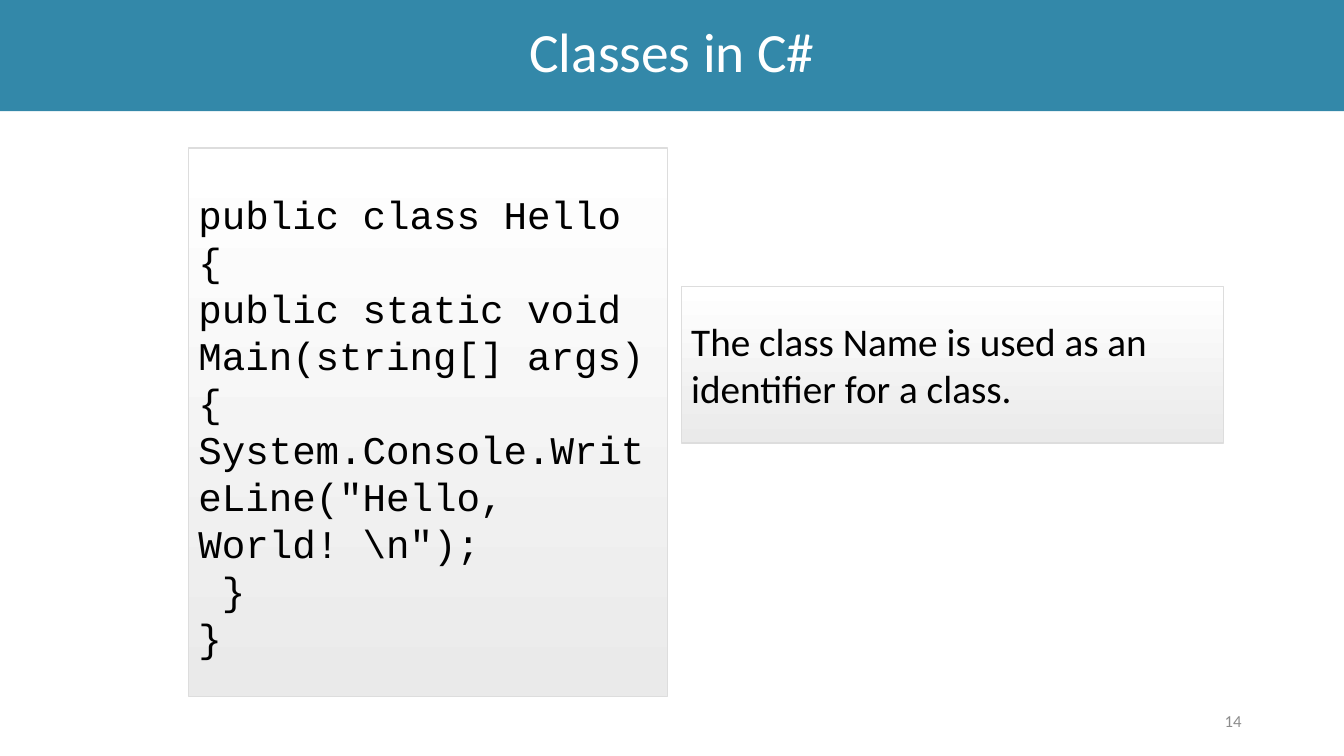
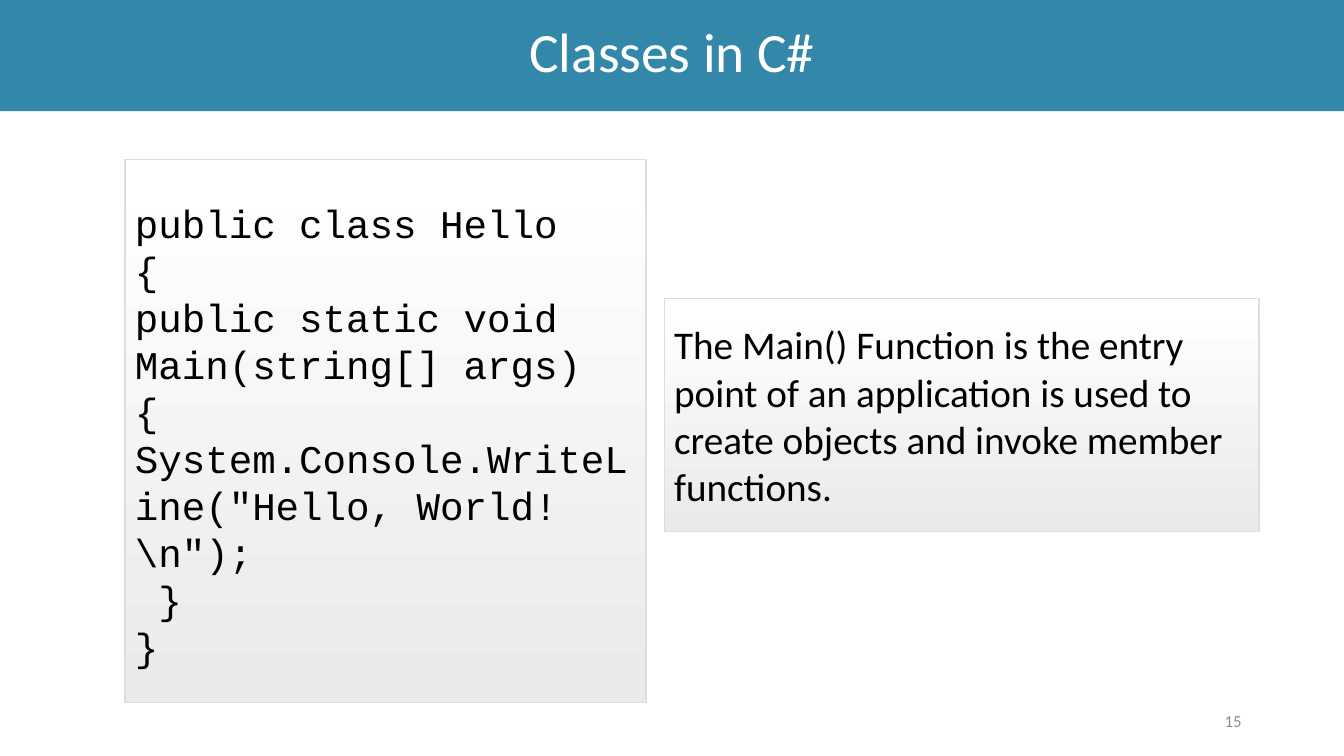
from pptx import Presentation
from pptx.dml.color import RGBColor
from pptx.enum.shapes import MSO_SHAPE as Shape
from pptx.enum.text import MSO_ANCHOR as Anchor, MSO_AUTO_SIZE as AutoSize, PP_ALIGN as Align
from pptx.util import Cm, Pt

BLUE = RGBColor(0x33, 0x88, 0xA9)
WHITE = RGBColor(0xFF, 0xFF, 0xFF)
BLACK = RGBColor(0x00, 0x00, 0x00)
GREY = RGBColor(0x8C, 0x8C, 0x8C)
PANEL_END = RGBColor(0xEA, 0xEA, 0xEA)
PANEL_EDGE = RGBColor(0xDD, 0xDD, 0xDD)
BODY_FONT = "Calibri"
CODE_FONT = "Courier New"
TITLE_ONLY = 5
WIDTH, HEIGHT = 33.87, 19.05

HELLO_CODE = [
    "public class Hello",
    "{",
    "public static void Main(string[] args)",
    "{",
    'System.Console.WriteLine("Hello, World! \\n");',
    " }",
    "}",
]


class Deck:
    """Holds the lecture style and the slide being built."""

    def __init__(self):
        self.prs = Presentation()
        self.prs.slide_width, self.prs.slide_height = Cm(WIDTH), Cm(HEIGHT)
        self.slide = None

    def fill_text(self, frame, lines, font, size, color, align=Align.LEFT, spacing=None):
        """Fills a text frame with one paragraph per line."""
        frame.word_wrap = True
        frame.auto_size = AutoSize.NONE
        frame.vertical_anchor = Anchor.MIDDLE
        for index, line in enumerate(lines):
            paragraph = frame.paragraphs[0] if index == 0 else frame.add_paragraph()
            paragraph.alignment = align
            paragraph.line_spacing = spacing
            run = paragraph.add_run()
            run.text = line
            run.font.name = font
            run.font.size = Pt(size)
            run.font.color.rgb = color

    def start_slide(self, title, number):
        """Adds a slide with its title band and page number."""
        self.slide = self.prs.slides.add_slide(self.prs.slide_layouts[TITLE_ONLY])
        band = self.slide.shapes.title
        band.left, band.top, band.width, band.height = Cm(0), Cm(0), Cm(WIDTH), Cm(2.8)
        band.fill.solid()
        band.fill.fore_color.rgb = BLUE
        band.text_frame.margin_bottom = Cm(0.2)
        self.fill_text(band.text_frame, [title], BODY_FONT, 39.6, WHITE, Align.CENTER, 0.9)
        page = self.slide.shapes.add_textbox(Cm(23.92), Cm(17.65), Cm(7.62), Cm(1.01))
        self.fill_text(page.text_frame, [str(number)], BODY_FONT, 12, GREY, Align.RIGHT)

    def panel(self, box, lines, font):
        """Adds a shaded panel of text at left, top, width, height in cm."""
        panel = self.slide.shapes.add_shape(Shape.RECTANGLE, *map(Cm, box))
        panel.shadow.inherit = False
        panel.fill.gradient()
        panel.fill.gradient_angle = 270
        for stop, color in zip(panel.fill.gradient_stops, (WHITE, PANEL_END)):
            stop.color.rgb = color
        panel.line.color.rgb = PANEL_EDGE
        panel.line.width = Pt(1)
        self.fill_text(panel.text_frame, lines, font, 28, BLACK, spacing=Pt(33.6))
        return panel

    def code(self, box, lines):
        """Adds a panel of source code."""
        self.panel(box, lines, CODE_FONT).text_frame.margin_top = Cm(0.28)

    def note(self, box, sentence):
        """Adds a panel that explains the code."""
        self.panel(box, [sentence], BODY_FONT)


def main():
    """Builds the slides on classes."""
    deck = Deck()
    lessons = [
        ((4.75, 3.73, 12.07, 13.82), (17.17, 7.22, 13.67, 3.94),
         "The class Name is used as an identifier for a class."),
        ((3.15, 4.02, 13.13, 13.69), (16.74, 7.52, 14.99, 5.87),
         "The Main() Function is the entry point of an application is used to "
         "create objects and invoke member functions."),
    ]
    for number, (code_box, note_box, sentence) in enumerate(lessons, start=14):
        deck.start_slide("Classes in C#", number)
        deck.code(code_box, HELLO_CODE)
        deck.note(note_box, sentence)
    deck.prs.save("out.pptx")


if __name__ == "__main__":
    main()
